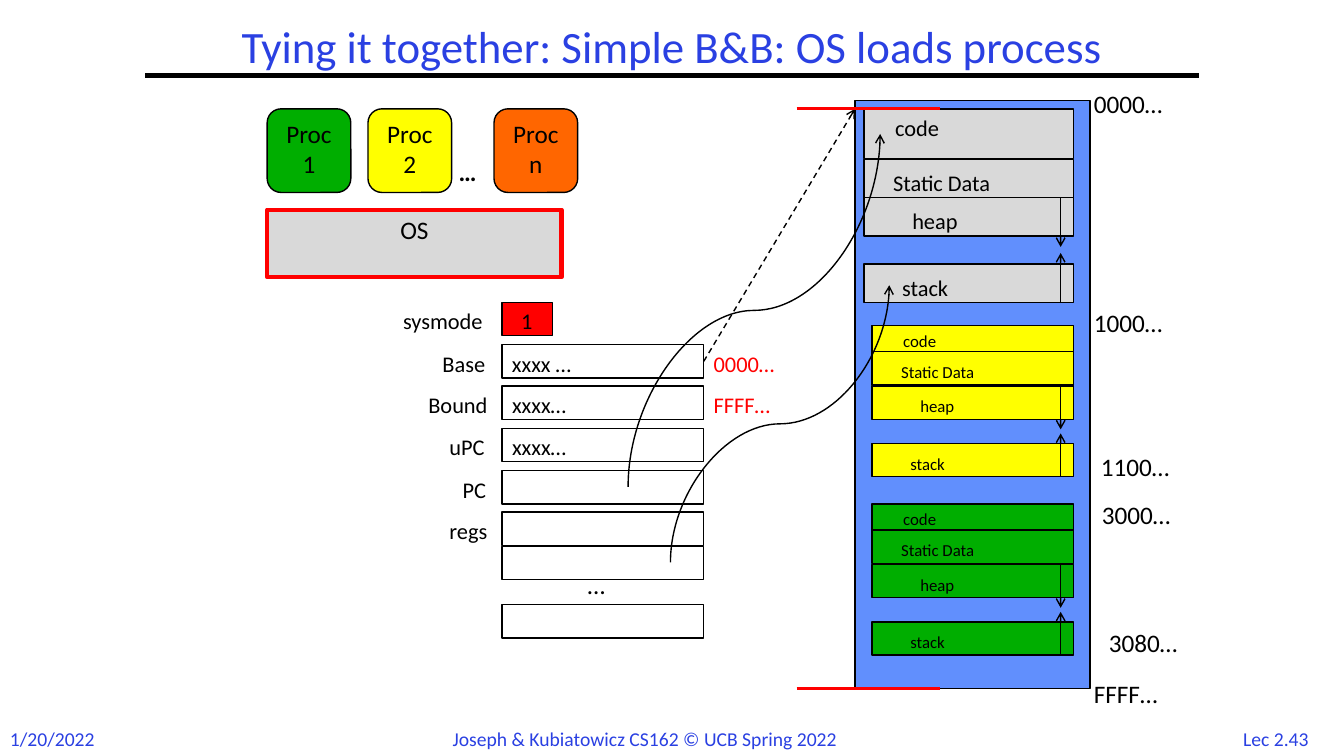
"""Build the slide on how the OS loads a process under base and bound."""
from dataclasses import dataclass

from lxml.etree import SubElement
from pptx import Presentation
from pptx.dml.color import RGBColor as RGB
from pptx.enum.dml import MSO_LINE
from pptx.enum.shapes import MSO_CONNECTOR as CONN, MSO_SHAPE as SHAPE
from pptx.enum.text import MSO_ANCHOR as ANCHOR, MSO_AUTO_SIZE as FIT, PP_ALIGN as ALIGN
from pptx.oxml.ns import qn
from pptx.util import Inches, Pt


@dataclass(frozen=True)
class Theme:
    font: str = "Calibri"
    blue: str = "2A40E2"
    memory: str = "618FFD"
    black: str = "000000"
    red: str = "FF0000"
    gray: str = "D9D9D9"
    green: str = "00AE00"
    yellow: str = "FFFF00"
    orange: str = "FF6600"
    title: int = 32
    body: int = 18
    label: int = 16
    footer: int = 14
    small: int = 12


T = Theme()
prs = Presentation()
prs.slide_width, prs.slide_height = Inches(13.33), Inches(7.5)
s = prs.slides.add_slide(prs.slide_layouts[6])


def add_box(x, y, w, h, text="", size=T.body, color=T.black, kind=None,
            fill=None, line=T.black, weight=1, align=ALIGN.LEFT):
    at = [Inches(v) for v in (x, y, w, h)]
    if kind is None:
        sp = s.shapes.add_textbox(*at)
        sp.text_frame.word_wrap = False
        sp.text_frame.auto_size = FIT.SHAPE_TO_FIT_TEXT
    else:
        sp = s.shapes.add_shape(kind, *at)
        sp.shadow.inherit = False
        sp.line.color.rgb = RGB.from_string(line)
        sp.line.width = Pt(weight)
        if fill:
            sp.fill.solid()
            sp.fill.fore_color.rgb = RGB.from_string(fill)
        else:
            sp.fill.background()
        sp.text_frame.vertical_anchor = ANCHOR.TOP
    if text:
        p = sp.text_frame.paragraphs[0]
        p.text = text
        p.alignment = align
        p.font.name = T.font
        p.font.size = Pt(size)
        p.font.color.rgb = RGB.from_string(color)
    return sp


def add_line(x1, y1, x2, y2, color=T.black, weight=1, arrow=False, dash=False, kind=CONN.STRAIGHT):
    c = s.shapes.add_connector(kind, *[Inches(v) for v in (x1, y1, x2, y2)])
    c.line.color.rgb = RGB.from_string(color)
    c.line.width = Pt(weight)
    if dash:
        c.line.dash_style = MSO_LINE.DASH
    if arrow:
        SubElement(c.line._get_or_add_ln(), qn("a:tailEnd"), type="arrow")
    SubElement(c._element.spPr, qn("a:effectLst"))
    return c


add_box(12.17, 7.16, 0.97, 0.33, "Lec 2.43", T.footer, T.blue, align=ALIGN.CENTER)
add_box(0, 7.16, 1.07, 0.34, "1/20/2022", T.footer, T.blue)
add_line(1.44, 0.75, 11.89, 0.75, weight=3)
add_box(4.39, 7.16, 4.55, 0.34, "Joseph & Kubiatowicz CS162 © UCB Spring 2022", T.footer, T.blue)

title = add_box(1.75, 0.08, 9.83, 0.81, "Tying it together: Simple B&B: OS loads process",
                T.title, T.blue, align=ALIGN.CENTER)
tf = title.text_frame
tf.auto_size = FIT.NONE
tf.word_wrap = True
tf.vertical_anchor = ANCHOR.MIDDLE
tf.paragraphs[0].line_spacing = 0.9

add_box(2.65, 2.08, 2.92, 0.67, "OS", kind=SHAPE.RECTANGLE, fill=T.gray,
        line=T.red, weight=3, align=ALIGN.CENTER)
for x, name, fill in ((2.65, "Proc 1", T.green), (3.65, "Proc 2", T.yellow), (4.9, "Proc n", T.orange)):
    add_box(x, 1.08, 0.83, 0.83, name, kind=SHAPE.ROUNDED_RECTANGLE, fill=fill, align=ALIGN.CENTER)
more = add_box(4.45, 1.5, 0.45, 0.4, "…")
more.text_frame.paragraphs[0].font.bold = True

add_box(8.48, 1, 2.33, 5.83, kind=SHAPE.RECTANGLE, fill=T.memory)
segments = ("code", "Static Data", "heap", "stack")
indents = (0.21, 0.19, 0.38, 0.28)
drops = (0, 0.05, 0.05, 0.05)
large = ((0, 0.49), (0.5, 0.38), (0.88, 0.38), (1.54, 0.38))
small = ((0, 0.26), (0.26, 0.33), (0.6, 0.33), (1.17, 0.33))
large_widths, small_widths = (0.69, 1.3, 0.7, 0.73), (0.56, 1.02, 0.57, 0.59)
images = (
    (8.57, 1.08, T.gray, T.label, large, large_widths, 0.37, 0.49),
    (8.65, 3.23, T.yellow, T.small, small, small_widths, 0.3, 0.43),
    (8.65, 5, T.green, T.small, small, small_widths, 0.3, 0.43),
)
for x, top, fill, size, rows, widths, text_h, reach in images:
    for name, indent, drop, (dy, h), w in zip(segments, indents, drops, rows, widths):
        add_box(x, top + dy, 10.65 - x, h, kind=SHAPE.RECTANGLE, fill=fill)
        add_box(x + indent, top + dy + drop, w, text_h, name, size)
    heap_top = top + rows[2][0]
    stack_bottom = top + sum(rows[3])
    add_line(10.52, stack_bottom, 10.52, stack_bottom - reach, arrow=True)
    add_line(10.52, heap_top, 10.52, heap_top + reach, arrow=True)

for x, y, w, address in ((10.75, 0.83, 1.02, "0000…"), (10.75, 6.68, 1.07, "FFFF…"),
                         (10.75, 3, 1.02, "1000…"), (10.82, 4.43, 1, "1100…"),
                         (10.83, 4.9, 1.02, "3000…"), (10.9, 6.17, 1.02, "3080…")):
    add_box(x, y, w, 0.4, address)

add_box(4.98, 3, 0.5, 0.33, kind=SHAPE.RECTANGLE, fill=T.red)
add_box(5.07, 3, 0.33, 0.37, "1", T.label)
registers = {y: add_box(4.98, y, 2, 0.33, kind=SHAPE.RECTANGLE)
             for y in (3.42, 3.83, 4.25, 4.67, 5.08, 5.42, 6)}
for y, w, name in ((3, 1.1, "sysmode"), (3.42, 0.71, "Base"), (3.83, 0.85, "Bound"),
                   (4.25, 0.64, "uPC"), (4.67, 0.51, "PC"), (5.08, 0.64, "regs")):
    add_box(5 - w, y, w, 0.37, name, T.label)
for y, w, value in ((3.42, 0.94, "xxxx …"), (3.83, 0.88, "xxxx…"), (4.25, 0.88, "xxxx…")):
    add_box(4.98, y, w, 0.37, value, T.label)
add_box(5.73, 5.6, 0.45, 0.4, "…")

base_pointer = add_line(6.98, 3.58, 8.48, 1.08, arrow=True, dash=True)
base_pointer.begin_connect(registers[3.42], 3)
for y in (1.08, 6.83):
    add_line(7.9, y, 9.32, y, T.red, 2.25)

for x1, y1, x2, y2 in ((6.23, 4.83, 8.73, 1.33), (6.65, 5.58, 8.82, 2.83)):
    cx, cy = (x1 + x2) / 2, (y1 + y2) / 2
    half_w, half_h = (y1 - y2) / 2, (x2 - x1) / 2
    curve = add_line(cx + half_w, cy + half_h, cx - half_w, cy - half_h, arrow=True, kind=CONN.CURVE)
    curve._element.spPr.find(qn("a:xfrm")).set("rot", str(90 * 60000))

for y, w, value in ((3.42, 0.92, "0000…"), (3.83, 0.97, "FFFF…")):
    add_box(6.98, y, w, 0.37, value, T.label, T.red)

prs.save("out.pptx")
